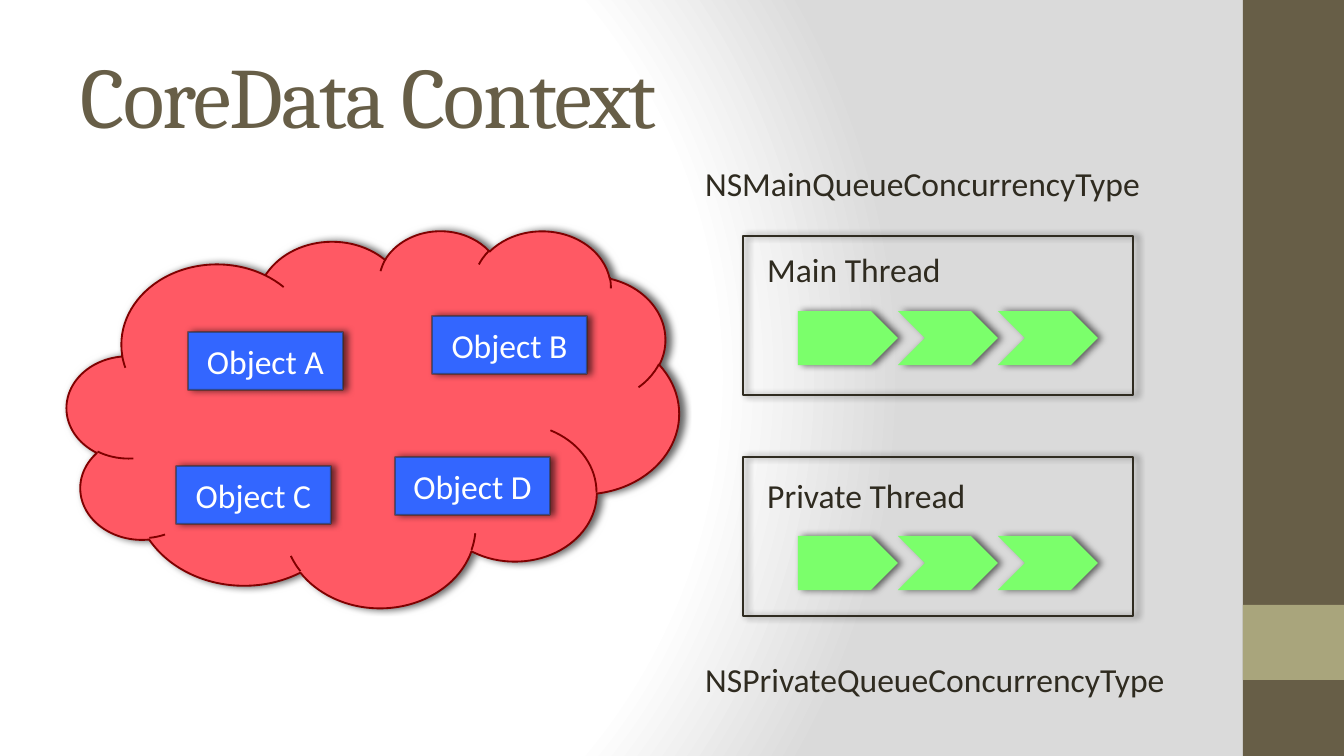
from lxml.etree import SubElement
from pptx import Presentation
from pptx.dml.color import RGBColor
from pptx.enum.shapes import MSO_SHAPE as SHAPE
from pptx.enum.text import MSO_ANCHOR as ANCHOR, MSO_AUTO_SIZE as AUTO, PP_ALIGN as ALIGN
from pptx.oxml import parse_xml
from pptx.oxml.ns import nsdecls, qn
from pptx.util import Emu, Pt

# Content; lengths in px
W, H = 1344, 756
TITLE = "CoreData Context"
BANDS = [("675E47", 0, H), ("A9A57C", 605, 75)]  # colour, top, height
OBJECTS = [("Object A", 188, 332), ("Object B", 432, 316),
           ("Object C", 176, 466), ("Object D", 395, 457)]
THREADS = [  # label, label top, label width, panel top, arrow top
    ("Main Thread", 242, 203, 236, 311),
    ("Private Thread", 468, 228, 457, 536),
]
QUEUES = [("NSMainQueueConcurrencyType", 156, 469),
          ("NSPrivateQueueConcurrencyType", 652, 495)]  # text, top, width
ARROWS = [SHAPE.PENTAGON, SHAPE.CHEVRON, SHAPE.CHEVRON]
STOPS = [(0, "FFFFFF"), (75, "FFFFFF"), (100, "DADADA")]

INK, BROWN = "2F2B20", "675E47"
PX = 914400 / 134.4


def px(*lengths):
    return [Emu(round(n * PX)) for n in lengths]


def rgb(color):
    return RGBColor.from_string(color)


def write(tf, text, size, font, color):
    r = tf.paragraphs[0].add_run()
    r.text = text
    r.font.size, r.font.name = Pt(size), font
    r.font.color.rgb = rgb(color)
    return r


def add_shape(kind, box, fill=None, line=None, shadow=True):
    sp = s.shapes.add_shape(kind, *px(*box))
    if fill:
        sp.fill.solid()
        sp.fill.fore_color.rgb = rgb(fill)
    else:
        sp.fill.background()
    if line:
        sp.line.color.rgb = rgb(line)
        sp.line.width = Pt(1)
    else:
        sp.line.fill.background()
    sp.shadow.inherit = False
    if shadow:
        effects = sp._element.spPr.find(qn("a:effectLst"))
        outer = SubElement(effects, qn("a:outerShdw"), blurRad=str(Pt(4)),
                           dist=str(Pt(2)), dir="0", rotWithShape="0")
        black = SubElement(outer, qn("a:srgbClr"), val="000000")
        SubElement(black, qn("a:alpha"), val="60000")
    return sp


def add_label(text, x, y, width):
    tf = s.shapes.add_textbox(*px(x, y, width, 54)).text_frame
    tf.word_wrap = False
    tf.auto_size = AUTO.SHAPE_TO_FIT_TEXT
    write(tf, text, 18, "Calibri", INK)


prs = Presentation()
prs.slide_width, prs.slide_height = px(W, H)
s = prs.slides.add_slide(prs.slide_layouts[5])

# Radial background
s.background.fill.solid()
bg = s._element.find(".//" + qn("p:bgPr"))
stops = "".join(f'<a:gs pos="{pos * 1000}"><a:srgbClr val="{color}"/></a:gs>'
                for pos, color in STOPS)
bg.replace(bg[0], parse_xml(
    f'<a:gradFill {nsdecls("a")} rotWithShape="1"><a:gsLst>{stops}</a:gsLst>'
    '<a:path path="circle"><a:fillToRect l="20000" t="50000" r="100000" b="50000"/>'
    '</a:path></a:gradFill>'))

# Side bands
for color, top, height in BANDS:
    add_shape(SHAPE.RECTANGLE, (1243, top, W - 1243, height), color, shadow=False)

# Title
title = s.shapes.title
title.left, title.top, title.width, title.height = px(67, 31, 1120, 126)
tf = title.text_frame
tf.vertical_anchor = ANCHOR.MIDDLE
tf.auto_size = AUTO.NONE
tf.paragraphs[0].alignment = ALIGN.LEFT
r = write(tf, TITLE, 46, "Cambria", BROWN)
r.font._element.set("spc", "-100")

# Context cloud with its objects
add_shape(SHAPE.CLOUD, (67, 230, 612, 377), "FF5964", "800000")
for text, x, y in OBJECTS:
    sp = add_shape(SHAPE.RECTANGLE, (x, y, 155, 58), "3366FF", INK)
    line_color = sp.line._ln.find(".//" + qn("a:srgbClr"))
    SubElement(line_color, qn("a:alpha"), val="50000")
    tf = sp.text_frame
    tf.vertical_anchor = ANCHOR.MIDDLE
    tf.paragraphs[0].alignment = ALIGN.CENTER
    write(tf, text, 18, "Calibri", "FFFFFF")

# Thread panels with their arrows
for text, label_top, label_width, panel_top, arrow_top in THREADS:
    add_shape(SHAPE.RECTANGLE, (743, panel_top, 390, 159), line=INK)
    for i, kind in enumerate(ARROWS):
        add_shape(kind, (798 + 100 * i, arrow_top, 100, 54), "7BFF6B")
    add_label(text, 754, label_top, label_width)

# Queue types
for text, top, width in QUEUES:
    add_label(text, 692, top, width)

prs.save("out.pptx")
